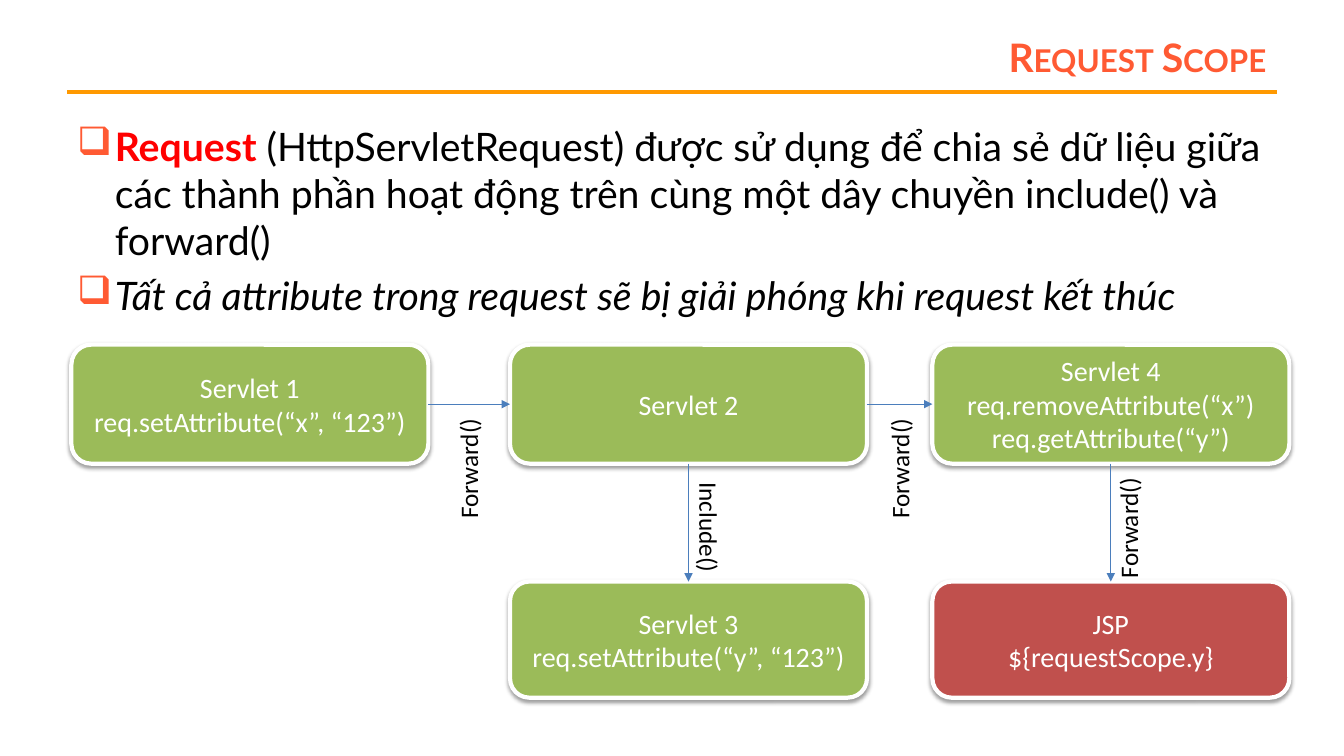
from lxml import etree
from pptx import Presentation
from pptx.dml.color import RGBColor
from pptx.enum.shapes import MSO_CONNECTOR as Connector, MSO_SHAPE as Shape
from pptx.enum.text import MSO_ANCHOR as Anchor, MSO_AUTO_SIZE as AutoSize, PP_ALIGN as Align
from pptx.oxml import parse_xml
from pptx.oxml.ns import nsdecls, qn
from pptx.util import Pt

ORANGE, RED, BLACK, WHITE = "FF5A33", "FF0000", "000000", "FFFFFF"
GREEN, BRICK, RULE, ARROW = "9BBB59", "C0504D", "FF9900", "4B7EBC"
TOP, LEFT, BOTTOM, RIGHT = range(4)


def color(value):
    return RGBColor.from_string(value)


class ScopeSlide:
    text_font = "Lato"
    diagram_font = "Calibri"
    box_width = 255

    def __init__(self, presentation):
        self.slide = presentation.slides.add_slide(presentation.slide_layouts[6])

    def run(self, paragraph, text, size, font, fill, bold=False, italic=False):
        run = paragraph.add_run()
        run.text = text
        run.font.size = Pt(size)
        run.font.name = font
        run.font.color.rgb = color(fill)
        run.font.bold = bold
        run.font.italic = italic
        return run

    def text_box(self, left, top, width, height, wrap=True):
        shape = self.slide.shapes.add_textbox(Pt(left), Pt(top), Pt(width), Pt(height))
        shape.text_frame.word_wrap = wrap
        return shape

    def title(self, text):
        frame = self.text_box(175.7, 21.6, 736, 38.2).text_frame
        frame.vertical_anchor = Anchor.MIDDLE
        paragraph = frame.paragraphs[0]
        paragraph.alignment = Align.RIGHT
        run = self.run(paragraph, text, 28, self.text_font, ORANGE, bold=True)
        run.font._element.set("cap", "small")

    def bullets(self, items):
        frame = self.text_box(48, 84, 864, 144).text_frame
        for index, runs in enumerate(items):
            paragraph = frame.add_paragraph() if index else frame.paragraphs[0]
            paragraph.space_before = Pt(5.6)
            properties = paragraph._p.get_or_add_pPr()
            properties.set("marL", str(Pt(27)))
            properties.set("indent", str(Pt(-27)))
            properties.append(parse_xml(
                f'<a:buClr {nsdecls("a")}><a:srgbClr val="{ORANGE}"/></a:buClr>'))
            etree.SubElement(properties, qn("a:buChar"), char="❑")
            for text, fill, bold, italic in runs:
                self.run(paragraph, text, 28, self.text_font, fill, bold, italic)

    def box(self, left, top, height, fill, lines):
        shape = self.slide.shapes.add_shape(
            Shape.ROUNDED_RECTANGLE, Pt(left), Pt(top), Pt(self.box_width), Pt(height))
        shape.fill.solid()
        shape.fill.fore_color.rgb = color(fill)
        shape.line.color.rgb = color(WHITE)
        shape.line.width = Pt(3)
        shape.shadow.inherit = False
        shape._element.spPr.find(qn("a:effectLst")).append(parse_xml(
            f'<a:outerShdw {nsdecls("a")} blurRad="{Pt(3.1)}" dist="{Pt(1.6)}" '
            f'dir="5400000" rotWithShape="0"><a:srgbClr val="{BLACK}">'
            '<a:alpha val="38000"/></a:srgbClr></a:outerShdw>'))
        frame = shape.text_frame
        frame.word_wrap = True
        frame.vertical_anchor = Anchor.MIDDLE
        for index, text in enumerate(lines):
            paragraph = frame.add_paragraph() if index else frame.paragraphs[0]
            paragraph.alignment = Align.CENTER
            self.run(paragraph, text, 20, self.diagram_font, WHITE)
        return shape

    def line(self, start, end, fill, width):
        points = [Pt(value) for value in (*start, *end)]
        connector = self.slide.shapes.add_connector(Connector.STRAIGHT, *points)
        connector.line.color.rgb = color(fill)
        connector.line.width = Pt(width)
        etree.SubElement(connector._element.spPr, qn("a:effectLst"))
        return connector

    def arrow(self, source, source_side, target, target_side):
        connector = self.line((0, 0), (0, 0), ARROW, 0.75)
        connector.begin_connect(source, source_side)
        connector.end_connect(target, target_side)
        etree.SubElement(connector.line._get_or_add_ln(), qn("a:tailEnd"), type="triangle")

    def label(self, text, center_x, center_y, width, rotation):
        height = 29
        shape = self.text_box(center_x - width / 2, center_y - height / 2, width, height, wrap=False)
        shape.rotation = rotation
        shape.text_frame.auto_size = AutoSize.SHAPE_TO_FIT_TEXT
        self.run(shape.text_frame.paragraphs[0], text, 18, self.diagram_font, BLACK)


def main():
    presentation = Presentation()
    presentation.slide_width, presentation.slide_height = Pt(960), Pt(540)
    scope = ScopeSlide(presentation)

    scope.line((48, 66), (912, 66), RULE, 3)
    scope.title("Request Scope")
    scope.bullets([
        [("Request", RED, True, False),
         (" (HttpServletRequest) được sử dụng để chia sẻ dữ liệu giữa các thành phần "
          "hoạt động trên cùng một dây chuyền include() và forward()", BLACK, False, False)],
        [("Tất cả attribute trong request sẽ bị giải phóng khi request kết thúc",
          BLACK, False, True)],
    ])

    first, middle, last = 51, 364.3, 666
    upper, lower = (246.2, 85), (415.4, 83)
    servlet1 = scope.box(first, *upper, GREEN, ["Servlet 1", "req.setAttribute(“x”, “123”)"])
    servlet2 = scope.box(middle, *upper, GREEN, ["Servlet 2"])
    servlet4 = scope.box(
        last, *upper, GREEN, ["Servlet 4", "req.removeAttribute(“x”)", "req.getAttribute(“y”)"])
    servlet3 = scope.box(middle, *lower, GREEN, ["Servlet 3", "req.setAttribute(“y”, “123”)"])
    jsp = scope.box(last, *lower, BRICK, ["JSP", "${requestScope.y}"])

    scope.arrow(servlet1, RIGHT, servlet2, LEFT)
    scope.arrow(servlet2, RIGHT, servlet4, LEFT)
    scope.arrow(servlet2, BOTTOM, servlet3, TOP)
    scope.arrow(servlet4, BOTTOM, jsp, TOP)

    for center_x, center_y in ((334.5, 334.1), (642.6, 334.1), (806, 376.6)):
        scope.label("Forward()", center_x, center_y, 87, 270)
    scope.label("Include()", 506.5, 377.3, 80, 90)

    presentation.save("out.pptx")


if __name__ == "__main__":
    main()
